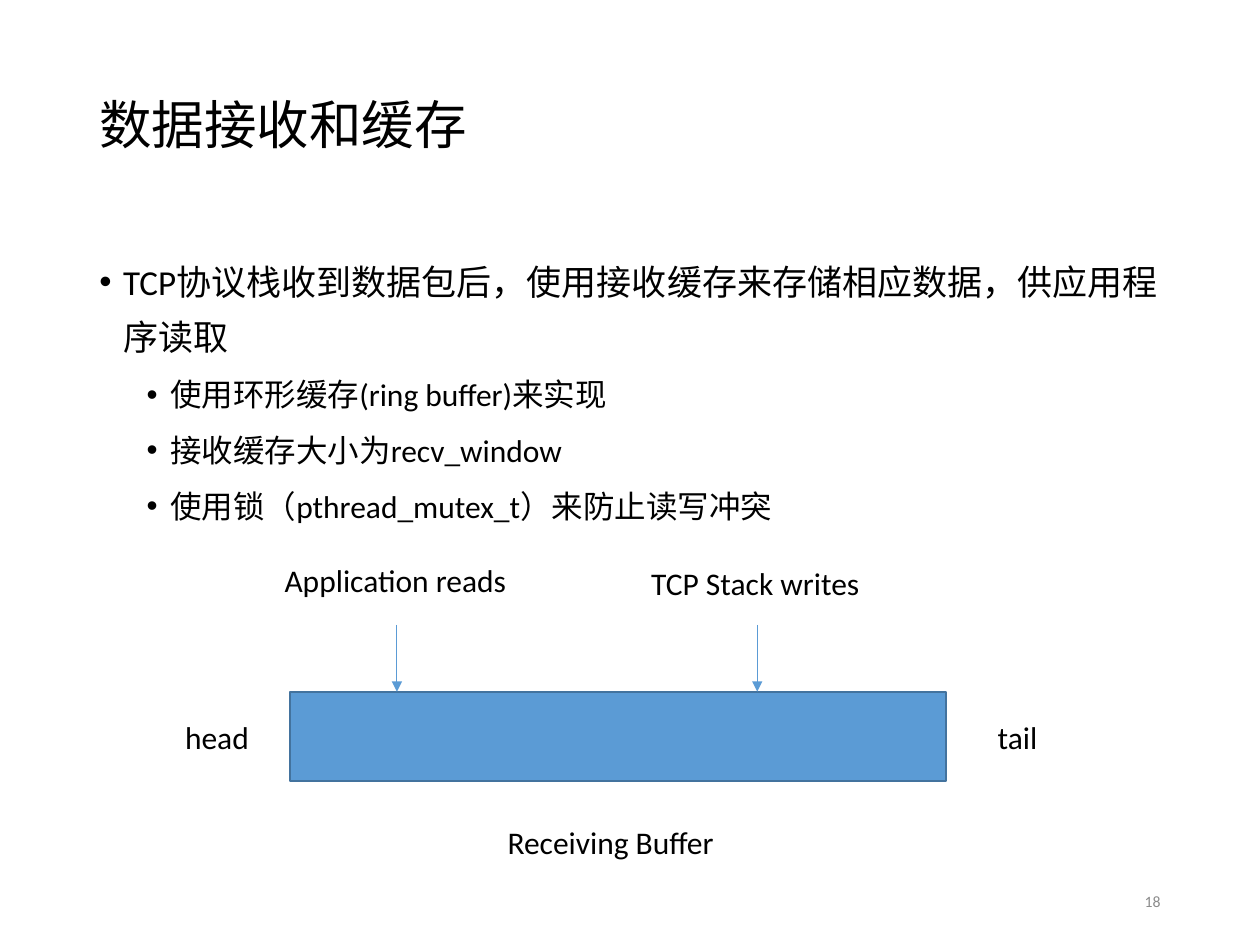
import pptx
import pptx.dml.color
import pptx.enum.shapes
import pptx.enum.text
import pptx.oxml
import pptx.oxml.ns
import pptx.util

BLACK = pptx.dml.color.RGBColor(0x00, 0x00, 0x00)
GRAY = pptx.dml.color.RGBColor(0x8C, 0x8C, 0x8C)
BLUE = pptx.dml.color.RGBColor(0x5B, 0x9B, 0xD5)
DARK_BLUE = pptx.dml.color.RGBColor(0x43, 0x73, 0x9E)
MIDDLE = pptx.enum.text.MSO_ANCHOR.MIDDLE
TOP = pptx.enum.text.MSO_ANCHOR.TOP
LEFT = pptx.enum.text.PP_ALIGN.LEFT
RIGHT = pptx.enum.text.PP_ALIGN.RIGHT

presentation = pptx.Presentation()
presentation.slide_width = pptx.util.Inches(10)
presentation.slide_height = pptx.util.Inches(7.5)
slide = presentation.slides.add_slide(presentation.slide_layouts[6])
COLUMN = presentation.slide_width / 100
ROW = presentation.slide_height / 75


def grid(*lengths):
    return [round(length * unit) for length, unit in zip(lengths, (COLUMN, ROW) * 2)]


def add_text(box, lines, size, color=BLACK, wrap=True, anchor=TOP, **paragraph_format):
    shape = slide.shapes.add_textbox(*grid(*box))
    frame = shape.text_frame
    frame.word_wrap = wrap
    frame.vertical_anchor = anchor
    frame.text = "\n".join(lines)
    for paragraph in frame.paragraphs:
        for name, value in paragraph_format.items():
            setattr(paragraph, name, value)
        font_format = {"name": "Calibri", "size": pptx.util.Pt(size)}
        for name, value in font_format.items():
            setattr(paragraph.runs[0].font, name, value)
        paragraph.runs[0].font.color.rgb = color
    return frame


add_text((6.9, 4, 86.2, 12.3), ["数据接收和缓存"], 30, anchor=MIDDLE, line_spacing=0.9)

body = add_text(
    (6.9, 19.2, 86.2, 48.4),
    [
        "TCP协议栈收到数据包后，使用接收缓存来存储相应数据，供应用程序读取",
        "使用环形缓存(ring buffer)来实现",
        "接收缓存大小为recv_window",
        "使用锁（pthread_mutex_t）来防止读写冲突",
    ],
    20,
    line_spacing=1.3,
    space_before=pptx.util.Pt(7.5),
)
for paragraph in body.paragraphs[1:]:
    sub_format = {"level": 1, "space_before": pptx.util.Pt(3.8)}
    for name, value in sub_format.items():
        setattr(paragraph, name, value)
    paragraph.runs[0].font.size = pptx.util.Pt(18)
for paragraph in body.paragraphs:
    properties = paragraph._p.get_or_add_pPr()
    properties.set("marL", str(round(COLUMN * (1.88 + 3.75 * paragraph.level))))
    properties.set("indent", str(round(COLUMN * -1.88)))
    bullet_namespace = pptx.oxml.ns.nsdecls("a")
    properties.append(pptx.oxml.parse_xml(f'<a:buFont {bullet_namespace} typeface="Arial"/>'))
    properties.append(pptx.oxml.parse_xml(f'<a:buChar {bullet_namespace} char="•"/>'))

BUFFER_TOP = 54.9
buffer = slide.shapes.add_shape(
    pptx.enum.shapes.MSO_SHAPE.RECTANGLE, *grid(23, BUFFER_TOP, 52.1, 7.1)
)
buffer.shadow.inherit = False
buffer.fill.solid()
buffer.fill.fore_color.rgb = BLUE
buffer.line.color.rgb = DARK_BLUE
buffer.line.width = pptx.util.Pt(1)

for text, left, top, width in [
    ("Receiving Buffer", 39.3, 64.8, 18.6),
    ("head", 13.7, 56.5, 7.2),
    ("tail", 78.2, 56.5, 5.2),
    ("Application reads", 21.6, 44, 19.8),
    ("TCP Stack writes", 50.7, 44.3, 18.7),
]:
    add_text((left, top, width, 4), [text], 18, wrap=False, alignment=LEFT)

for column in (31.5, 60.1):
    arrow = slide.shapes.add_connector(
        pptx.enum.shapes.MSO_CONNECTOR.STRAIGHT,
        *grid(column, 49.6, column, BUFFER_TOP),
    )
    arrow.line.color.rgb = BLUE
    arrow.line.width = pptx.util.Pt(0.5)
    namespace = pptx.oxml.ns.nsdecls("a")
    arrow.line._get_or_add_ln().append(
        pptx.oxml.parse_xml(f'<a:tailEnd {namespace} type="triangle"/>')
    )
    arrow._element.spPr.append(pptx.oxml.parse_xml(f"<a:effectLst {namespace}/>"))

add_text((70.6, 69.5, 22.5, 4), ["18"], 9, GRAY, anchor=MIDDLE, alignment=RIGHT)

presentation.save("out.pptx")
